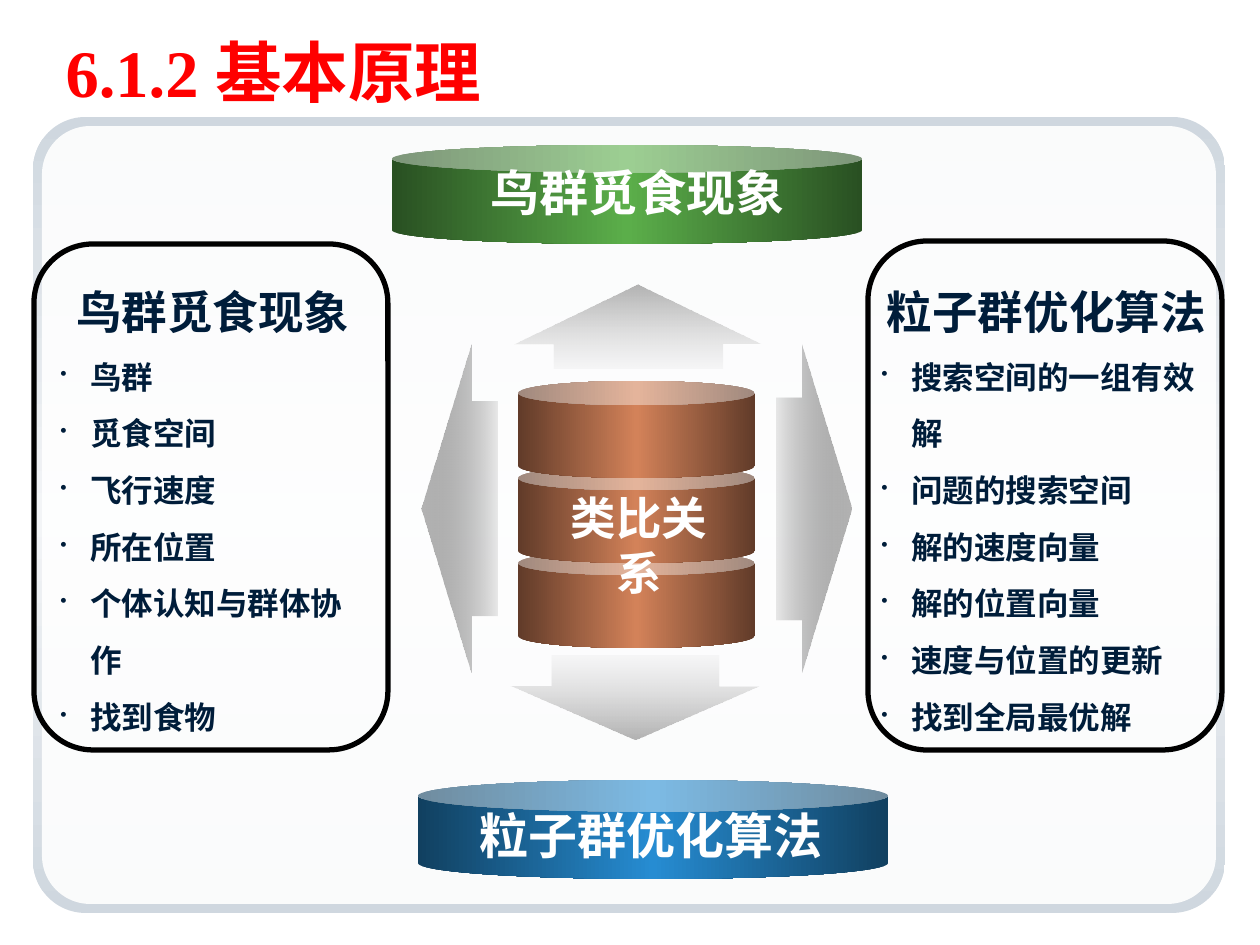
from dataclasses import dataclass

from lxml.etree import SubElement
from pptx import Presentation
from pptx.dml.color import RGBColor
from pptx.enum.shapes import MSO_SHAPE
from pptx.enum.text import MSO_ANCHOR, PP_ALIGN
from pptx.oxml.ns import qn
from pptx.util import Pt

PX = 914400 / 126


@dataclass(frozen=True)
class Theme:
    title: str = "FF0000"
    ink: str = "001D3A"
    outline: str = "000000"
    white: str = "FFFFFF"
    frame: tuple = ("CFD7DF", "F3F5F7", "CFD7DF")
    green: tuple = ("295022", "5BAE4A", "295022")
    blue: tuple = ("114060", "268CD2", "114060")
    copper: tuple = ("613B29", "D38259", "613B29")
    arrow_edge: str = "B2B2B2"
    arrow_pale: tuple = ("CDCDCD", 12)
    arrow_dark: tuple = ("525252", 12)
    title_font: str = "Times New Roman"
    list_font: str = "DejaVu Sans"
    label_font: str = "Arial"
    title_size: int = 38
    label_size: int = 28
    heading_size: int = 26
    item_size: int = 18


THEME = Theme()


def emu(*lengths):
    return [round(length * PX) for length in lengths]


def add_color(parent, color):
    """Append a colour given as hex, or as (hex, opacity in percent)."""
    value, opacity = (color, 100) if isinstance(color, str) else color
    node = SubElement(parent, qn("a:srgbClr"), val=value)
    if opacity < 100:
        SubElement(node, qn("a:alpha"), val=str(opacity * 1000))


def add_preset(slide, preset, box, adjustments=()):
    shape = slide.shapes.add_shape(preset, *emu(*box))
    shape.shadow.inherit = False
    shape.line.fill.background()
    for index, value in enumerate(adjustments):
        shape.adjustments[index] = value
    return shape


def fill_gradient(shape, colors, angle):
    """Spread the colours evenly; the angle runs clockwise in degrees."""
    shape.fill.gradient()
    gradient = shape.fill._xPr.find(qn("a:gradFill"))
    for child in list(gradient):
        gradient.remove(child)
    stops = SubElement(gradient, qn("a:gsLst"))
    for index, color in enumerate(colors):
        position = index * 100000 // (len(colors) - 1)
        add_color(SubElement(stops, qn("a:gs"), pos=str(position)), color)
    SubElement(gradient, qn("a:lin"), ang=str(angle * 60000), scaled="1")


def style(paragraph, font, size, color, align=PP_ALIGN.LEFT):
    paragraph.alignment = align
    paragraph.font.name = font
    paragraph.font.size = Pt(size)
    paragraph.font.bold = True
    paragraph.font.color.rgb = RGBColor.from_string(color)


def add_bullet(paragraph, indent):
    hanging = emu(indent)[0]
    properties = paragraph._p.get_or_add_pPr()
    properties.set("marL", str(hanging))
    properties.set("indent", str(-hanging))
    add_color(SubElement(properties, qn("a:buClr")), THEME.ink)
    SubElement(properties, qn("a:buSzPct"), val="60000")
    SubElement(properties, qn("a:buChar"), char="•")


def add_label(slide, box, text, size):
    frame = slide.shapes.add_textbox(*emu(*box)).text_frame
    frame.word_wrap = False
    frame.text = text
    style(frame.paragraphs[0], THEME.label_font, size, THEME.white, PP_ALIGN.CENTER)


def add_title(slide, box, text):
    title = slide.shapes.title
    title.left, title.top, title.width, title.height = emu(*box)
    title.text_frame.text = text
    title.text_frame.vertical_anchor = MSO_ANCHOR.MIDDLE
    style(title.text_frame.paragraphs[0], THEME.title_font, THEME.title_size, THEME.title)


def add_frame(slide, box, border=9):
    x, y, w, h = box
    rim = add_preset(slide, MSO_SHAPE.ROUNDED_RECTANGLE, box, [0.066])
    fill_gradient(rim, THEME.frame, 90)
    inside = (x + border, y + border, w - 2 * border, h - 2 * border)
    panel = add_preset(slide, MSO_SHAPE.ROUNDED_RECTANGLE, inside, [0.062])
    panel.fill.solid()
    panel.fill.fore_color.rgb = RGBColor.from_string(THEME.white)
    color = panel.fill._xPr.find(qn("a:solidFill")).find(qn("a:srgbClr"))
    SubElement(color, qn("a:alpha"), val="90000")


def add_list_card(slide, box, text_offset, text_width, heading, items):
    x, y, w, h = box
    card = add_preset(slide, MSO_SHAPE.ROUNDED_RECTANGLE, box)
    card.fill.background()
    card.line.color.rgb = RGBColor.from_string(THEME.outline)
    card.line.width = Pt(3)

    dx, dy = text_offset
    text_box = slide.shapes.add_textbox(*emu(x + dx, y + dy, text_width, 446))
    frame = text_box.text_frame
    frame.word_wrap = True
    frame.text = heading
    style(frame.paragraphs[0], THEME.list_font, THEME.heading_size, THEME.ink, PP_ALIGN.CENTER)
    for item in items:
        paragraph = frame.add_paragraph()
        paragraph.text = item
        style(paragraph, THEME.list_font, THEME.item_size, THEME.ink)
        paragraph.line_spacing = 1.5
        add_bullet(paragraph, 30)


def add_can(slide, box, colors, rim):
    fill_gradient(add_preset(slide, MSO_SHAPE.CAN, box, [rim]), colors, 180)


def add_banner(slide, box, colors, rim, label_box, text):
    """Draw a flat drum; label_box is relative to its top left corner."""
    x, y, _, _ = box
    dx, dy, w, h = label_box
    add_can(slide, box, colors, rim)
    add_label(slide, (x + dx, y + dy, w, h), text, THEME.label_size)


def add_analogy_hub(slide, box, text):
    """Draw the drum stack with four arrows pointing out to the box edges."""
    x, y, w, h = box
    edge, pale, dark = THEME.arrow_edge, THEME.arrow_pale, THEME.arrow_dark
    arrows = [
        (MSO_SHAPE.DOWN_ARROW, (89, h - 84, 248, 84), (0.671, 0.641), (pale, edge), 90),
        (MSO_SHAPE.LEFT_ARROW, (0, 60, 75, 328), (0.656, 0.652), (dark, edge), 180),
        (MSO_SHAPE.RIGHT_ARROW, (w - 75, 60, 75, 328), (0.677, 0.662), (edge, dark), 180),
        (MSO_SHAPE.UP_ARROW, (92, 0, 247, 84), (0.684, 0.708), (edge, pale), 90),
    ]
    for preset, (dx, dy, aw, ah), adjustments, colors, angle in arrows:
        arrow = add_preset(slide, preset, (x + dx, y + dy, aw, ah), adjustments)
        fill_gradient(arrow, colors, angle)
    for level in (2, 1, 0):
        add_can(slide, (x + 96, y + 96 + 85 * level, 237, 97), THEME.copper, 0.25)
    add_label(slide, (x + 114, y + 199, 206, 68), text, THEME.heading_size)


def main():
    birds, swarm = "鸟群觅食现象", "粒子群优化算法"
    presentation = Presentation()
    presentation.slide_width, presentation.slide_height = emu(1260, 945)
    slide = presentation.slides.add_slide(presentation.slide_layouts[5])

    add_frame(slide, (33, 117, 1192, 796))
    add_title(slide, (53, 32, 1176, 78), "6.1.2 基本原理")
    add_list_card(slide, (34, 244, 354, 506), (14, 34), 330, birds,
                  ["鸟群", "觅食空间", "飞行速度", "所在位置",
                   "个体认知与群体协作", "找到食物"])
    add_list_card(slide, (868, 241, 354, 509), (1, 37), 355, swarm,
                  ["搜索空间的一组有效解", "问题的搜索空间", "解的速度向量",
                   "解的位置向量", "速度与位置的更新", "找到全局最优解"])
    add_banner(slide, (392, 145, 470, 99), THEME.green, 0.279, (86, 11, 319, 72), birds)
    add_banner(slide, (418, 780, 470, 99), THEME.blue, 0.32, (49, 19, 368, 72), swarm)
    add_analogy_hub(slide, (422, 285, 430, 455), "类比关系")
    presentation.save("out.pptx")


if __name__ == "__main__":
    main()
